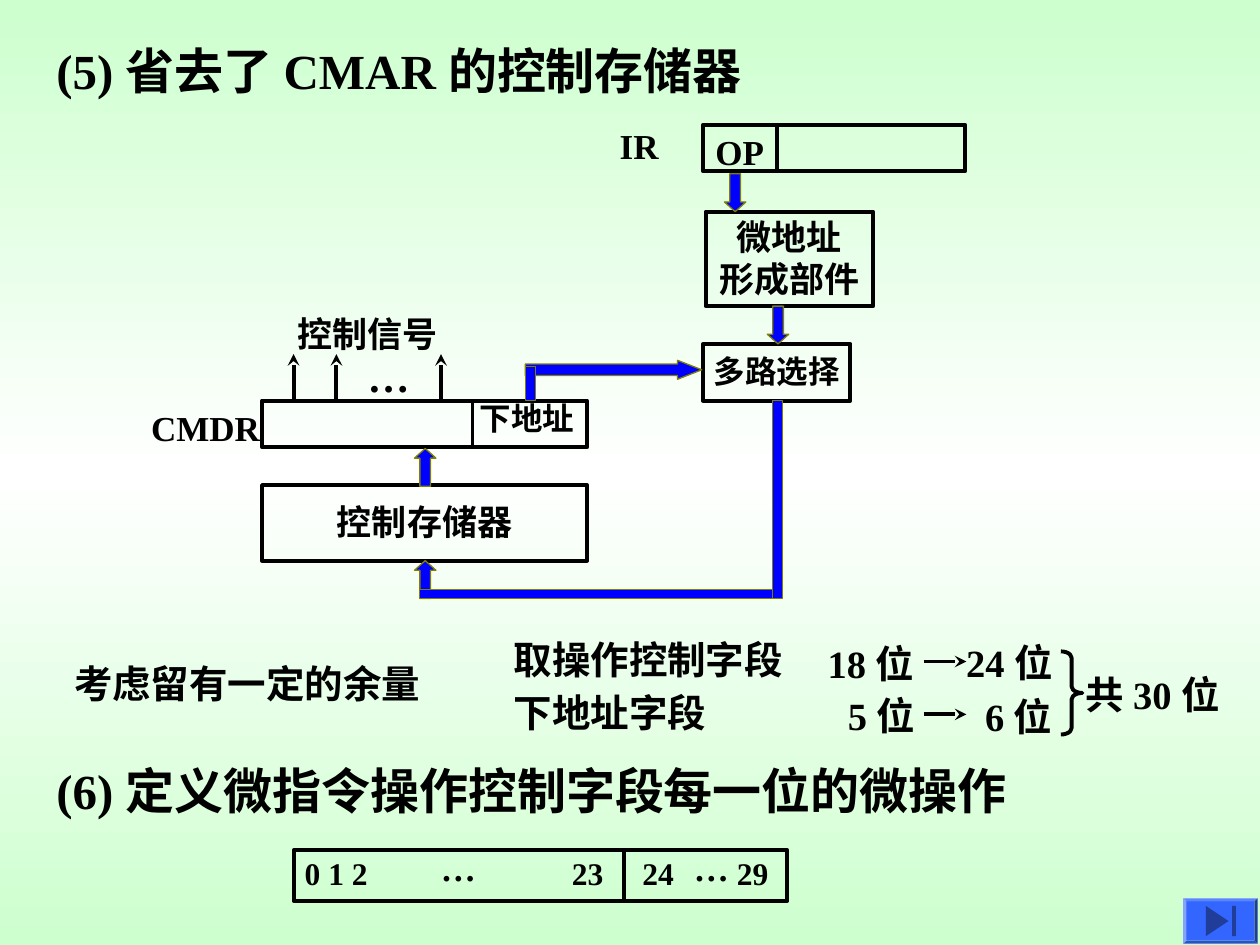
from copy import deepcopy
from pptx import Presentation
from pptx.dml.color import RGBColor
from pptx.enum.shapes import MSO_CONNECTOR, MSO_SHAPE as SHAPE
from pptx.enum.text import MSO_ANCHOR, MSO_AUTO_SIZE, PP_ALIGN
from pptx.oxml.ns import qn
from pptx.util import Inches, Pt
from lxml import etree

COLORS = {"ink": "000000", "bus": "0000FF", "bus_edge": "808000", "mint": "CDFFCE",
          "white": "FFFFFF", "button": "3366FF", "symbol": "1F3D99"}
COLORS = {name: RGBColor.from_string(value) for name, value in COLORS.items()}
FONT = {"name": "Times New Roman", "bold": True}


def style(shape, fill=None, line=None, weight=2.25):
    """Set fill and outline, or remove them where no colour is named."""
    shape.shadow.inherit = False
    if fill:
        shape.fill.solid()
        shape.fill.fore_color.rgb = COLORS[fill]
    else:
        shape.fill.background()
    if line:
        shape.line.color.rgb = COLORS[line]
        shape.line.width = Pt(weight)
    else:
        shape.line.fill.background()


def write(frame, text, size, align=PP_ALIGN.LEFT):
    for index, words in enumerate(text.split("\n")):
        para = frame.add_paragraph() if index else frame.paragraphs[0]
        para.alignment = align
        span = para.add_run()
        span.text = words
        for key, value in FONT.items():
            setattr(span.font, key, value)
        span.font.size = Pt(size)
        span.font.color.rgb = COLORS["ink"]


deck = Presentation()
deck.slide_width, deck.slide_height = Inches(10), Inches(7.5)
page = deck.slides.add_slide(deck.slide_layouts[6])

# Background: mint at top and bottom, white in the middle
backdrop = page.background.fill
backdrop.gradient()
backdrop.gradient_angle = 90
stops = backdrop.gradient_stops
for stop, color in zip(stops, ("mint", "white")):
    stop.color.rgb = COLORS[color]
stops[0].position, stops[1].position = 0, 0.5
stop_list = page.background._cSld.find(".//" + qn("a:gsLst"))
last_stop = deepcopy(stop_list[0])
last_stop.set("pos", "100000")
stop_list.append(last_stop)

# Boxes: left, top, width, height, text, size
boxes = [
    (5.58, 0.99, 2.08, 0.37, "", 20),
    (5.6, 1.68, 1.33, 0.75, "微地址\n形成部件", 20),
    (5.58, 2.73, 1.17, 0.45, "多路选择", 18),
    (2.08, 3.18, 2.58, 0.37, "", 20),
    (2.08, 3.85, 2.58, 0.6, "控制存储器", 20),
    (2.33, 6.75, 3.92, 0.4, "", 18),
]
for left, top, width, height, text, size in boxes:
    box = page.shapes.add_shape(SHAPE.RECTANGLE, Inches(left), Inches(top),
                                Inches(width), Inches(height))
    style(box, line="ink")
    if text:
        frame = box.text_frame
        frame.word_wrap = False
        frame.vertical_anchor = MSO_ANCHOR.MIDDLE
        frame.margin_top = Inches(0.02)
        write(frame, text, size, PP_ALIGN.CENTER)

# Lines: from x, y to x, y, arrowhead
dividers = [(6.17, 0.99, 6.17, 1.36), (3.75, 3.18, 3.75, 3.56), (4.95, 6.75, 4.95, 7.15)]
signals = [(x, 3.18, x, 2.81) for x in (2.33, 2.67, 3.5)]
growth = [(7.33, y, 7.67, y) for y in (5.25, 5.67)]
lines = [(*ends, False) for ends in dividers] + [(*ends, True) for ends in signals + growth]
for *ends, arrow in lines:
    link = page.shapes.add_connector(MSO_CONNECTOR.STRAIGHT, *map(Inches, ends))
    link.line.color.rgb = COLORS["ink"]
    link.line.width = Pt(2.25)
    if arrow:
        etree.SubElement(link.line._get_or_add_ln(), qn("a:tailEnd"), type="stealth")
    etree.SubElement(link._element.spPr, qn("a:effectLst"))

# Thick blue data paths
buses = [
    (SHAPE.UP_ARROW, 3.29, 3.56, 0.17, 0.3, (0.5, 0.45)),
    (SHAPE.UP_ARROW, 3.29, 4.45, 0.17, 0.3, (0.5, 0.45)),
    (SHAPE.RECTANGLE, 3.33, 4.68, 2.83, 0.07, ()),
    (SHAPE.RECTANGLE, 6.13, 3.18, 0.08, 1.57, ()),
    (SHAPE.RIGHT_ARROW, 4.17, 2.86, 1.4, 0.15, (0.61, 1.28)),
    (SHAPE.RECTANGLE, 4.17, 2.91, 0.08, 0.27, ()),
    (SHAPE.DOWN_ARROW, 6.09, 2.43, 0.17, 0.3, (0.5, 0.45)),
    (SHAPE.DOWN_ARROW, 5.75, 1.38, 0.17, 0.3, (0.5, 0.45)),
]
for kind, left, top, width, height, adjustments in buses:
    bus = page.shapes.add_shape(kind, Inches(left), Inches(top), Inches(width), Inches(height))
    style(bus, "bus", "bus_edge", 0.75)
    for index, value in enumerate(adjustments):
        bus.adjustments[index] = value

brace = page.shapes.add_shape(SHAPE.RIGHT_BRACE, Inches(8.42), Inches(5.17),
                              Inches(0.17), Inches(0.66))
style(brace, line="ink")
brace.adjustments[0] = 0.3

# Labels: left, top, width, height, text, size
labels = [
    (0.35, 0.27, 6.65, 0.57, "(5) 省去了 CMAR 的控制存储器", 28),
    (0.35, 5.99, 8.48, 0.57, "(6) 定义微指令操作控制字段每一位的微操作", 28),
    (4.82, 0.94, 0.51, 0.44, "IR", 20),
    (5.58, 0.99, 0.58, 0.44, "OP", 20),
    (2.26, 2.43, 1.31, 0.44, "控制信号", 20),
    (2.82, 2.73, 0.53, 0.5, "…", 24),
    (1.1, 3.18, 1.06, 0.44, "CMDR", 20),
    (3.71, 3.12, 0.95, 0.4, "下地址", 18),
    (0.49, 5.19, 3.67, 0.47, "考虑留有一定的余量", 22),
    (3.98, 5, 2.33, 0.47, "取操作控制字段", 22),
    (3.98, 5.42, 1.72, 0.47, "下地址字段", 22),
    (6.47, 5.03, 0.96, 0.47, "18 位", 22),
    (6.63, 5.44, 0.8, 0.47, "5 位", 22),
    (7.57, 5.02, 0.96, 0.47, "24 位", 22),
    (7.72, 5.45, 0.8, 0.47, "6 位", 22),
    (8.52, 5.28, 1.4, 0.47, "共 30 位", 22),
    (2.32, 6.73, 0.7, 0.4, "0 1 2", 18),
    (3.4, 6.67, 0.48, 0.44, "…", 20),
    (4.44, 6.73, 0.45, 0.4, "23", 18),
    (5, 6.73, 0.45, 0.4, "24", 18),
    (5.41, 6.67, 0.48, 0.44, "…", 20),
    (5.75, 6.73, 0.45, 0.4, "29", 18),
]
for left, top, width, height, text, size in labels:
    # The right margin is kept in the width, so that no label breaks
    label = page.shapes.add_textbox(Inches(left), Inches(top),
                                    Inches(width + 0.05), Inches(height))
    frame = label.text_frame
    frame.word_wrap = True
    frame.auto_size = MSO_AUTO_SIZE.NONE
    frame.margin_right = 0
    write(frame, text, size)

# Button that leads to the end
button = page.shapes.add_shape(SHAPE.BEVEL, Inches(9.39), Inches(7.13),
                               Inches(0.59), Inches(0.36))
style(button, "button")
button.adjustments[0] = 0.07
builder = page.shapes.build_freeform(Inches(9.57), Inches(7.19))
builder.add_line_segments([(Inches(9.75), Inches(7.31)), (Inches(9.57), Inches(7.43))])
style(builder.convert_to_shape(), "symbol")
bar = page.shapes.add_shape(SHAPE.RECTANGLE, Inches(9.78), Inches(7.19),
                            Inches(0.03), Inches(0.24))
style(bar, "symbol")

deck.save("out.pptx")
